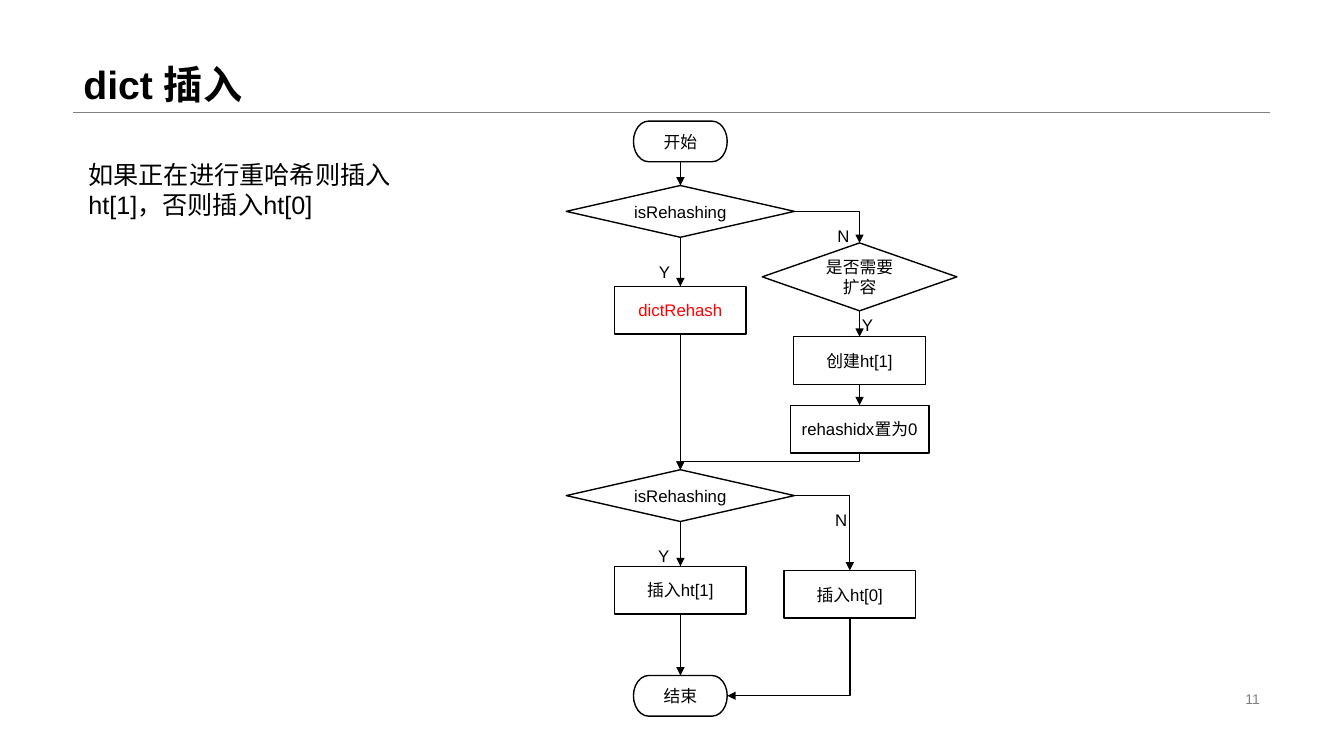
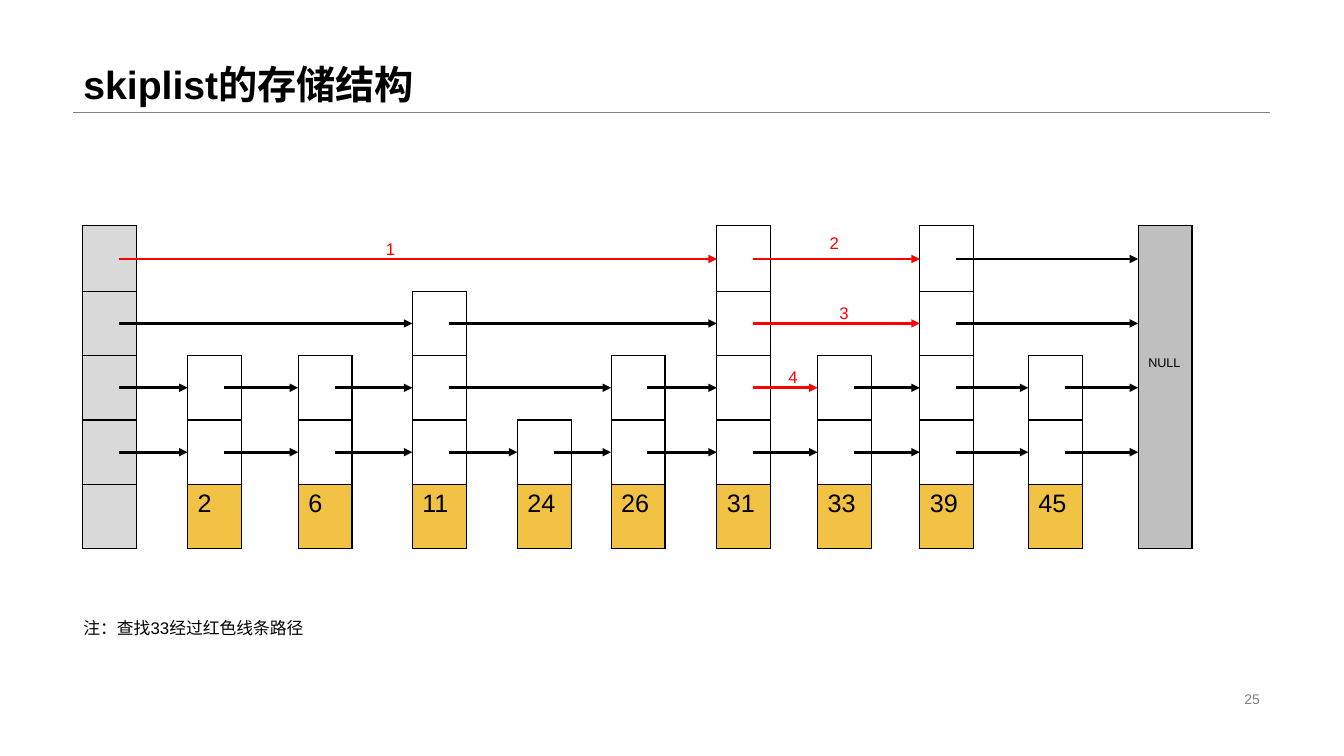
from dataclasses import dataclass
from itertools import pairwise

from pptx import Presentation
from pptx.dml.color import RGBColor
from pptx.enum.shapes import MSO_CONNECTOR as CXN, MSO_SHAPE as SHAPE
from pptx.enum.text import MSO_ANCHOR as ANCHOR, PP_ALIGN as ALIGN
from pptx.oxml.ns import qn
from pptx.util import Pt
from lxml.etree import SubElement

FONT = "Arial"
COLORS = {
    "black": "000000",
    "white": "FFFFFF",
    "grey": "808080",
    "red": "FF0000",
    "head": "D9D9D9",
    "null": "BFBFBF",
    "key": "F1C243",
}
TOP, LEFT, BOTTOM, RIGHT = range(4)
MARGIN, RULE_Y, BODY_W = 52.5, 80.5, 854.5


@dataclass(frozen=True)
class Node:
    name: str
    text: str
    shape: SHAPE
    cx: float
    top: float
    w: float
    h: float
    color: str = "black"


@dataclass(frozen=True)
class Link:
    start: str
    end: str
    exit: int = BOTTOM
    entry: int = TOP
    preset: str = ""


@dataclass(frozen=True)
class Label:
    text: str
    x: float
    y: float
    w: float = 22.5
    color: str = "black"


@dataclass(frozen=True)
class Tower:
    key: str
    x: float
    levels: int


MAIN_X, SIDE_X, INSERT_X = 486, 614, 607
TERMINAL, DECISION, PROCESS = (
    SHAPE.FLOWCHART_TERMINATOR, SHAPE.FLOWCHART_DECISION, SHAPE.FLOWCHART_PROCESS)
NODES = [
    Node("start", "开始", TERMINAL, MAIN_X, 86.5, 67, 29),
    Node("check", "isRehashing", DECISION, MAIN_X, 132.5, 163, 37),
    Node("rehash", "dictRehash", PROCESS, MAIN_X, 204.5, 94, 34, "red"),
    Node("expand", "是否需要扩容", DECISION, SIDE_X, 173.5, 139, 48.5),
    Node("create", "创建ht[1]", PROCESS, SIDE_X, 240.5, 94, 34),
    Node("reset", "rehashidx置为0", PROCESS, SIDE_X, 289.5, 99, 34),
    Node("recheck", "isRehashing", DECISION, MAIN_X, 335.5, 163, 37),
    Node("insert1", "插入ht[1]", PROCESS, MAIN_X, 404.5, 94, 34),
    Node("insert0", "插入ht[0]", PROCESS, INSERT_X, 407.5, 94, 34),
    Node("end", "结束", TERMINAL, MAIN_X, 482.5, 67, 29),
]
LINKS = [
    Link("start", "check"),
    Link("check", "rehash"),
    Link("check", "expand", exit=RIGHT, preset="bentConnector2"),
    Link("expand", "create"),
    Link("create", "reset"),
    Link("rehash", "recheck"),
    Link("reset", "recheck", preset="bentConnector3"),
    Link("recheck", "insert1"),
    Link("recheck", "insert0", exit=RIGHT, preset="bentConnector2"),
    Link("insert1", "end"),
    Link("insert0", "end", entry=RIGHT, preset="bentConnector2"),
]
BRANCH_LABELS = [
    Label("Y", 463.5, 183.5),
    Label("N", 591, 157.5),
    Label("Y", 608.5, 221),
    Label("Y", 463, 386),
    Label("N", 589.5, 360.5),
]

CELL_W, ROW_H, TOP_ROW_H, BASE_Y = 38.5, 46, 47, 392
MAX_LEVEL, POINTER_X = 4, 26
HEAD, NULL = Tower("", 59, MAX_LEVEL), Tower("NULL", 813, MAX_LEVEL)
TOWERS = [
    Tower("2", 134, 2),
    Tower("6", 213, 2),
    Tower("11", 294.5, 3),
    Tower("24", 369.5, 1),
    Tower("26", 436.5, 2),
    Tower("31", 512, 4),
    Tower("33", 584, 2),
    Tower("39", 657, 4),
    Tower("45", 734.5, 2),
]
SEARCH_PATH = {(4, HEAD.key), (4, "31"), (3, "31"), (2, "31")}
STEP_LABELS = [
    Label("1", 268.5, 167, 27, "red"),
    Label("2", 585.5, 162.5, 27, "red"),
    Label("3", 592.5, 212.5, 27, "red"),
    Label("4", 556, 258.5, 27, "red"),
]


def rgb(color: str) -> RGBColor:
    return RGBColor.from_string(COLORS[color])


def write(tf, text: str, size: float, color: str = "black",
          bold: bool = False, align=ALIGN.LEFT) -> None:
    tf.text = text
    p = tf.paragraphs[0]
    p.alignment = align
    for r in p.runs:
        r.font.name, r.font.size, r.font.bold = FONT, Pt(size), bold
        r.font.color.rgb = rgb(color)


def add_text(slide, text: str, x: float, y: float, w: float, h: float,
             size: float, anchor=ANCHOR.TOP, **style):
    tf = slide.shapes.add_textbox(Pt(x), Pt(y), Pt(w), Pt(h)).text_frame
    tf.word_wrap = True
    tf.vertical_anchor = anchor
    write(tf, text, size, **style)
    return tf


def add_label(slide, label: Label) -> None:
    add_text(slide, label.text, label.x, label.y, label.w, 21.5, 12,
             color=label.color)


def style_line(cxn, color: str, width: float, arrow: bool = True) -> None:
    cxn.line.color.rgb = rgb(color)
    cxn.line.width = Pt(width)
    if arrow:
        SubElement(cxn.line._get_or_add_ln(), qn("a:tailEnd"), type="triangle")
    SubElement(cxn._element.spPr, qn("a:effectLst"))


def add_line(slide, x1: float, y1: float, x2: float, y2: float,
             color: str, width: float, arrow: bool = True) -> None:
    cxn = slide.shapes.add_connector(
        CXN.STRAIGHT, Pt(x1), Pt(y1), Pt(x2), Pt(y2))
    style_line(cxn, color, width, arrow)


def add_slide(prs, title: str, number: str):
    slide = prs.slides.add_slide(prs.slide_layouts[6])
    add_line(slide, MARGIN, RULE_Y, MARGIN + BODY_W, RULE_Y, "grey", 0.25, False)
    tf = add_text(slide, title, MARGIN, 0, BODY_W, RULE_Y, 28,
                  ANCHOR.BOTTOM, bold=True)
    tf.paragraphs[0].line_spacing = 0.9
    add_text(slide, number, 678, 491, 229, 16.5, 10, ANCHOR.MIDDLE,
             color="grey", align=ALIGN.RIGHT)
    return slide


def add_node(slide, node: Node):
    sp = slide.shapes.add_shape(
        node.shape, Pt(node.cx - node.w / 2), Pt(node.top), Pt(node.w), Pt(node.h))
    sp.shadow.inherit = False
    sp.fill.solid()
    sp.fill.fore_color.rgb = rgb("white")
    sp.line.color.rgb = rgb("black")
    sp.line.width = Pt(1)
    sp.text_frame.word_wrap = True
    sp.text_frame.vertical_anchor = ANCHOR.MIDDLE
    write(sp.text_frame, node.text, 12, node.color, align=ALIGN.CENTER)
    return sp


def turn_down_left(cxn) -> None:
    x1, y1, x2, y2 = cxn.begin_x, cxn.begin_y, cxn.end_x, cxn.end_y
    w, h = abs(y2 - y1), abs(x2 - x1)
    cxn.left, cxn.top = (x1 + x2 - w) // 2, (y1 + y2 - h) // 2
    cxn.width, cxn.height = w, h
    xfrm = cxn._element.spPr.find(qn("a:xfrm"))
    xfrm.flipH = xfrm.flipV = False
    xfrm.set("rot", "5400000")


def add_link(slide, link: Link, shapes: dict) -> None:
    kind = CXN.ELBOW if link.preset else CXN.STRAIGHT
    cxn = slide.shapes.add_connector(kind, 0, 0, 0, 0)
    cxn.begin_connect(shapes[link.start], link.exit)
    cxn.end_connect(shapes[link.end], link.entry)
    if link.preset:
        cxn._element.spPr.find(qn("a:prstGeom")).set("prst", link.preset)
        if link.exit == BOTTOM:
            turn_down_left(cxn)
    style_line(cxn, "black", 1)


def style_cell(cell, fill: str = "") -> None:
    tc_pr = cell._tc.get_or_add_tcPr()
    for side in ("lnL", "lnR", "lnT", "lnB"):
        ln = SubElement(tc_pr, qn(f"a:{side}"), w=str(Pt(1)))
        SubElement(SubElement(ln, qn("a:solidFill")), qn("a:srgbClr"),
                   val=COLORS["black"])
    if fill:
        cell.fill.solid()
        cell.fill.fore_color.rgb = rgb(fill)
    else:
        cell.fill.background()


def add_column(slide, x: float, heights: list[float], fills: list[str]):
    total = sum(heights)
    table = slide.shapes.add_table(
        len(heights), 1, Pt(x), Pt(BASE_Y - total), Pt(CELL_W), Pt(total)).table
    table.first_row = table.horz_banding = False
    for i, (height, fill) in enumerate(zip(heights, fills)):
        table.rows[i].height = Pt(height)
        style_cell(table.cell(i, 0), fill)
    return table


def row_heights(levels: int) -> list[float]:
    top = TOP_ROW_H if levels == MAX_LEVEL else ROW_H
    return [top] + [ROW_H] * levels


def add_towers(slide) -> None:
    add_column(slide, HEAD.x, row_heights(HEAD.levels), ["head"] * (MAX_LEVEL + 1))
    for tower in TOWERS:
        table = add_column(slide, tower.x, row_heights(tower.levels),
                           [""] * tower.levels + ["key"])
        write(table.cell(tower.levels, 0).text_frame, tower.key, 18)
    cell = add_column(slide, NULL.x, [sum(row_heights(MAX_LEVEL))],
                      ["null"]).cell(0, 0)
    cell.margin_top = Pt(93.5)
    write(cell.text_frame, NULL.key, 9)


def add_pointers(slide) -> None:
    for level in range(1, MAX_LEVEL + 1):
        y = BASE_Y - ROW_H * (level + 0.5)
        lane = [t for t in (HEAD, *TOWERS, NULL) if t.levels >= level]
        for a, b in pairwise(lane):
            color = "red" if (level, a.key) in SEARCH_PATH else "black"
            add_line(slide, a.x + POINTER_X, y, b.x, y, color, 2)


def build_insert(prs) -> None:
    slide = add_slide(prs, "dict 插入", "11")
    add_text(slide, "如果正在进行重哈希则插入ht[1]，否则插入ht[0]",
             56, 110, 259, 51, 18)
    shapes = {node.name: add_node(slide, node) for node in NODES}
    for link in LINKS:
        add_link(slide, link, shapes)
    for label in BRANCH_LABELS:
        add_label(slide, label)


def build_skiplist(prs) -> None:
    slide = add_slide(prs, "skiplist的存储结构", "25")
    add_towers(slide)
    add_pointers(slide)
    for label in [*STEP_LABELS, Label("注：查找33经过红色线条路径", MARGIN, 438, 230)]:
        add_label(slide, label)


def main() -> None:
    prs = Presentation()
    prs.slide_width, prs.slide_height = Pt(960), Pt(540)
    build_insert(prs)
    build_skiplist(prs)
    prs.save("out.pptx")


if __name__ == "__main__":
    main()
